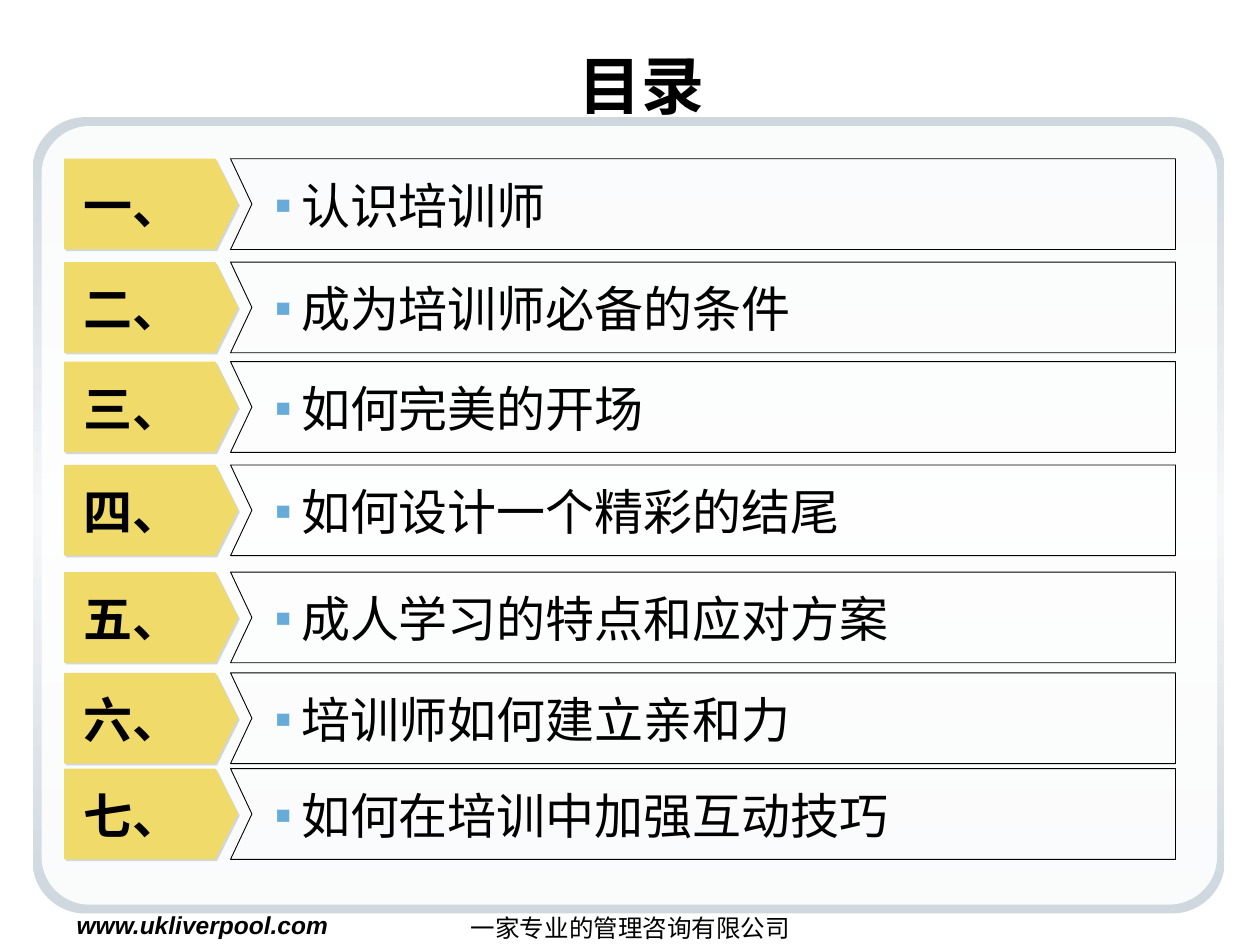
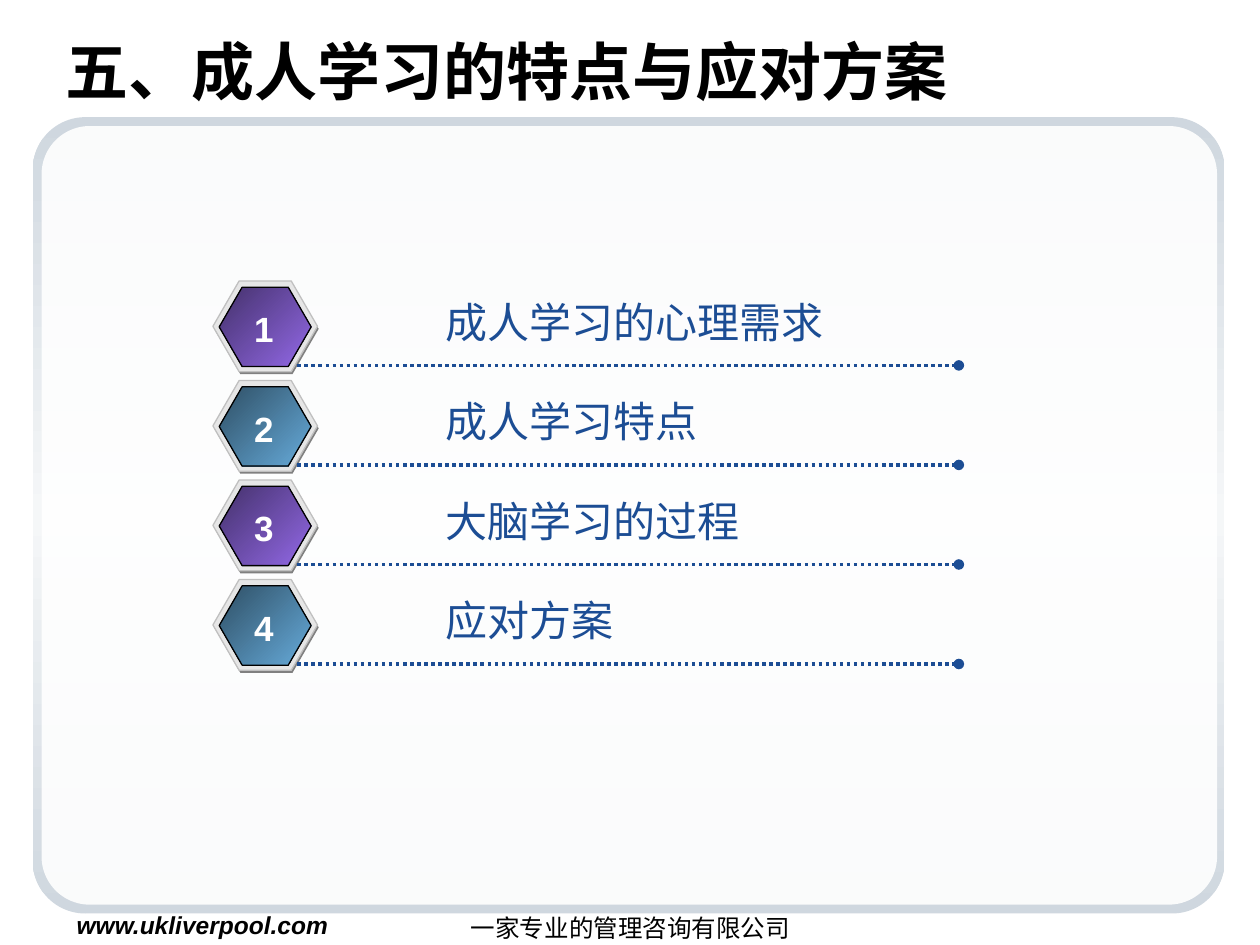
"""Build a training contents slide and a chapter outline slide."""
from lxml import etree
from pptx import Presentation
from pptx.dml.color import RGBColor
from pptx.enum import dml, shapes, text
from pptx.oxml.ns import qn
from pptx.util import Inches, Pt

HUES = {
    "ink": "000000", "white": "FFFFFF", "mist": "CFD7DF", "pale": "F5F7F8",
    "gold": "F0DA6A", "sky": "66ABDA", "slate": "2F4F65", "plum": "44316B",
    "lilac": "9369E7", "navy": "1C4D94", "shade": "808080", "rim": "E6E6E6",
    "edge": "C0C0C0",
}
FONT = "Arial"
KIND = shapes.MSO_SHAPE
ALIGN = text.PP_ALIGN


def hue(name):
    """Return a named colour."""
    return RGBColor.from_string(HUES[name])


def node(home, tag, **attrs):
    """Append a drawing element to its parent."""
    return etree.SubElement(home, qn(tag), {k: str(v) for k, v in attrs.items()})


def write(frame, words, size=14, color="ink", bold=False, slant=False,
          align=ALIGN.LEFT, bullet=None):
    """Put one formatted paragraph in a text frame."""
    para = frame.paragraphs[0]
    para.alignment = align
    if bullet:
        props = para._p.get_or_add_pPr()
        props.set("marL", str(Inches(0.21)))
        props.set("indent", str(-Inches(0.21)))
        node(node(props, "a:buClr"), "a:srgbClr", val=HUES[bullet])
        node(props, "a:buFont", typeface=FONT)
        node(props, "a:buChar", char="▪")
    run = para.add_run()
    run.text = words
    font = run.font
    font.name, font.size, font.bold, font.italic = FONT, Pt(size), bold, slant
    font.color.rgb = hue(color)


class Deck:
    """Hold the shared style and the current slide."""

    def __init__(self):
        """Start an empty deck."""
        self.prs = Presentation()
        self.prs.slide_width, self.prs.slide_height = Inches(10), Inches(7.5)

    def start(self, title, left, top, align):
        """Add a slide with its panel, footers and title."""
        self.slide = self.prs.slides.add_slide(self.prs.slide_layouts[5])
        self.pen = self.slide.shapes
        self.shape(KIND.ROUNDED_RECTANGLE, 0.26, 0.93, 9.46, 6.32, 0.066,
                   fade=("mist", "pale", "mist"), angle=90)
        panel = self.shape(KIND.ROUNDED_RECTANGLE, 0.33, 1, 9.33, 6.18, 0.062,
                           fill="white")
        paint = panel._element.spPr.find(qn("a:solidFill"))
        node(paint[0], "a:alpha", val=90000)
        self.label("www.ukliverpool.com", 0.51, 7.17, 2.36, 0.33, pad=0.1,
                   anchor=text.MSO_ANCHOR.TOP, bold=True, slant=True)
        self.label("一家专业的管理咨询有限公司", 3.42, 7.2, 3.17, 0.25,
                   anchor=text.MSO_ANCHOR.TOP, pad=0.05, align=ALIGN.CENTER)
        head = self.pen.title
        self.pen._spTree.append(head._element)
        head.left, head.top = Inches(left), Inches(top)
        head.width, head.height = Inches(9.33), Inches(0.62)
        frame = head.text_frame
        frame.auto_size = text.MSO_AUTO_SIZE.NONE
        frame.vertical_anchor = text.MSO_ANCHOR.MIDDLE
        write(frame, title, size=36, bold=True, align=align)

    def group(self):
        """Draw what follows inside a new group."""
        self.pen = self.slide.shapes.add_group_shape().shapes

    def dress(self, item, fill=None, line=None, width=0.75):
        """Set the fill and outline of a shape."""
        item.shadow.inherit = False
        if fill:
            item.fill.solid()
            item.fill.fore_color.rgb = hue(fill)
        else:
            item.fill.background()
        if line:
            item.line.color.rgb = hue(line)
            item.line.width = Pt(width)
        else:
            item.line.fill.background()

    def shape(self, kind, left, top, width, height, bend, fill=None, line=None,
              fade=None, angle=0):
        """Add a preset shape with a plain or fading fill."""
        item = self.pen.add_shape(kind, Inches(left), Inches(top),
                                  Inches(width), Inches(height))
        item.adjustments[0] = bend
        self.dress(item, fill, line)
        if fade:
            item.fill.gradient()
            grad = item._element.spPr.find(qn("a:gradFill"))
            grad.clear()
            stops = node(grad, "a:gsLst")
            for i, name in enumerate(fade):
                stop = node(stops, "a:gs", pos=100000 * i // (len(fade) - 1))
                node(stop, "a:srgbClr", val=HUES[name])
            node(grad, "a:lin", ang=angle * 60000, scaled=0)
        return item

    def outline(self, points, **style):
        """Add a closed freeform through the points."""
        first, *rest = [(Inches(x), Inches(y)) for x, y in points]
        path = self.pen.build_freeform(*first)
        path.add_line_segments(rest, close=True)
        item = path.convert_to_shape()
        self.dress(item, **style)
        return item

    def label(self, words, left, top, width, height, pad=0,
              anchor=text.MSO_ANCHOR.MIDDLE, **form):
        """Add a text box."""
        box = self.pen.add_textbox(Inches(left), Inches(top),
                                   Inches(width), Inches(height))
        frame = box.text_frame
        frame.word_wrap = True
        frame.vertical_anchor = anchor
        frame.margin_left = frame.margin_right = Inches(pad)
        frame.margin_top = frame.margin_bottom = Inches(min(pad, 0.05))
        write(frame, words, **form)

    def rule(self, left, right, y):
        """Add a dotted line with a round end."""
        line = self.pen.add_connector(shapes.MSO_CONNECTOR.STRAIGHT, Inches(left),
                                      Inches(y), Inches(right), Inches(y))
        line.line.color.rgb = hue("navy")
        line.line.width = Pt(2)
        line.line.dash_style = dml.MSO_LINE.ROUND_DOT
        node(line.line._get_or_add_ln(), "a:tailEnd", type="oval")
        node(line._element.spPr, "a:effectLst")

    def topic(self, mark, words, top):
        """Add one row of the contents list."""
        mid, end = top + 0.36, top + 0.72
        tag = self.outline([(0.51, top), (1.71, top), (1.89, mid),
                            (1.71, end), (0.51, end)], fill="gold")
        glow = tag._element.spPr.find(qn("a:effectLst"))
        cast = node(glow, "a:outerShdw", blurRad=0, dist=Pt(1.4), dir=2700000,
                    algn="ctr", rotWithShape=0)
        node(cast, "a:srgbClr", val=HUES["mist"])
        self.label(mark + "、", 0.66, top + 0.13, 1.07, 0.47, size=28, bold=True)
        self.outline([(9.33, top), (1.83, top), (2, mid), (1.83, end),
                      (9.33, end)], line="ink", width=0.5)
        self.label(words, 2.18, top + 0.13, 7.35, 0.47, size=28, bullet="sky")

    def step(self, num, words, top, fade):
        """Add one numbered hexagon with its text and rule."""
        self.group()
        self.shape(KIND.HEXAGON, 1.7, top + 0.02, 0.83, 0.72, 0.289, fill="shade")
        self.shape(KIND.HEXAGON, 1.69, top, 0.83, 0.72, 0.289, fill="rim", line="edge")
        self.shape(KIND.HEXAGON, 1.74, top + 0.05, 0.73, 0.63, 0.289,
                   line="ink", fade=fade, angle=45)
        self.rule(2.36, 7.61, top + 0.67)
        self.label(words, 3.44, top + 0.07, 4.17, 0.5, pad=0.1, size=24, color="navy")
        self.label(str(num), 1.92, top + 0.16, 0.35, 0.44, size=20, bold=True,
                   color="white", align=ALIGN.CENTER)


def main():
    """Build and save both slides."""
    deck = Deck()
    deck.start("目录", 0.43, 0.36, ALIGN.CENTER)
    topics = [
        ("一", "认识培训师", 1.26),
        ("二", "成为培训师必备的条件", 2.08),
        ("三", "如何完美的开场", 2.87),
        ("四", "如何设计一个精彩的结尾", 3.69),
        ("五", "成人学习的特点和应对方案", 4.54),
        ("六", "培训师如何建立亲和力", 5.34),
        ("七", "如何在培训中加强互动技巧", 6.1),
    ]
    for mark, words, top in topics:
        deck.topic(mark, words, top)

    deck.start("五、成人学习的特点与应对方案", 0.42, 0.25, ALIGN.LEFT)
    fades = [("plum", "lilac"), ("slate", "sky")]
    steps = ["成人学习的心理需求", "成人学习特点", "大脑学习的过程", "应对方案"]
    for i, words in enumerate(steps):
        deck.step(i + 1, words, 2.23 + 0.79 * i, fades[i % 2])
    deck.prs.save("out.pptx")


if __name__ == "__main__":
    main()
